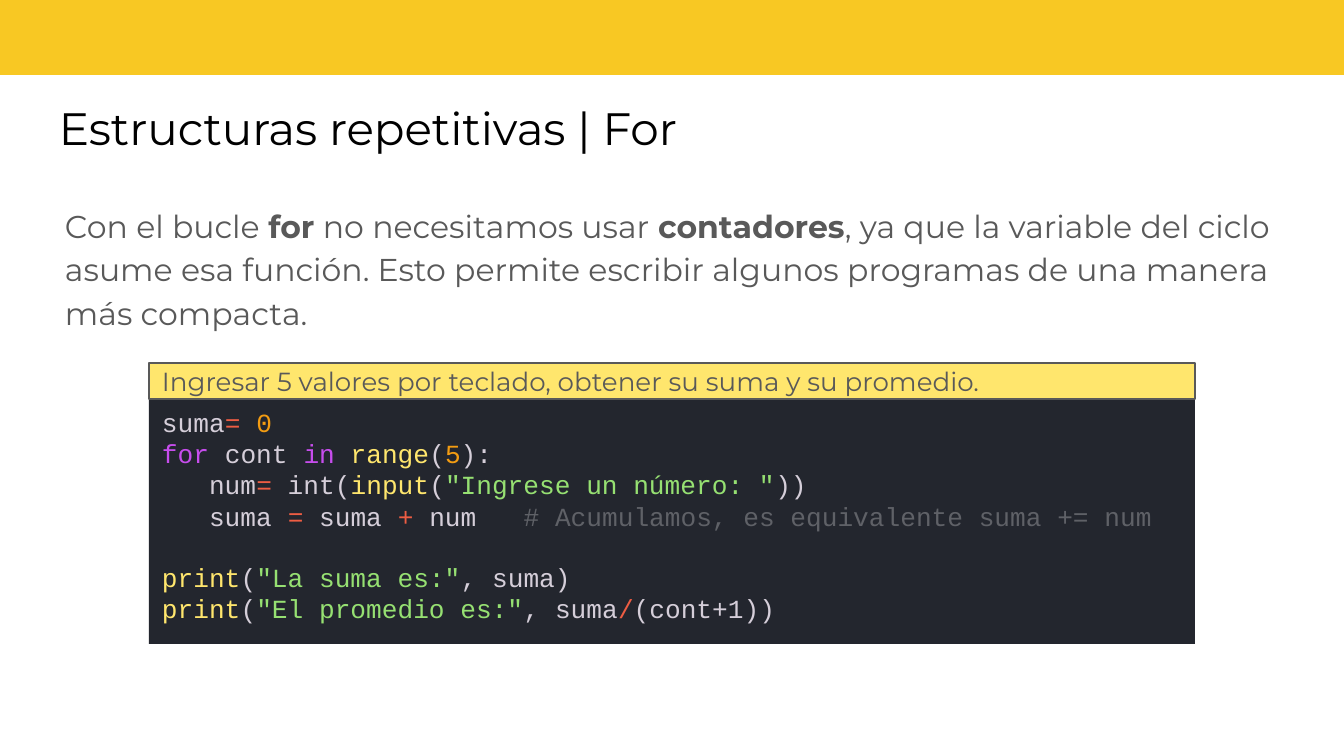
from pptx import Presentation
from pptx.dml.color import RGBColor
from pptx.enum.shapes import MSO_SHAPE
from pptx.enum.text import MSO_ANCHOR, PP_ALIGN
from pptx.util import Pt

PX = 914400 / 134.4  # EMU per pixel
COLORS = {
    "band": "F8C823", "title": "000000", "body": "595959",
    "panel": "23262E", "plain": "D5CED9", "operator": "EE5D43",
    "number": "F39C12", "keyword": "C74DED", "function": "FFE66D",
    "string": "96E072", "comment": "5F6167",
}
SANS, MONO = "Montserrat", "Courier New"

CODE = [
    [("suma", "plain"), ("=", "operator"), (" ", "plain"), ("0", "number")],
    [("for", "keyword"), (" cont ", "plain"), ("in", "keyword"), (" ", "plain"),
     ("range", "function"), ("(", "plain"), ("5", "number"), ("):", "plain")],
    [("   num", "plain"), ("=", "operator"), (" int(", "plain"), ("input", "function"),
     ("(", "plain"), ('"Ingrese un número: "', "string"), ("))", "plain")],
    [("   suma ", "plain"), ("=", "operator"), (" suma ", "plain"), ("+", "operator"),
     (" num   ", "plain"), ("# Acumulamos, es equivalente suma += num", "comment")],
    [("print", "function"), ("(", "plain"), ('"La suma es:"', "string"), (", suma)", "plain")],
    [("print", "function"), ("(", "plain"), ('"El promedio es:"', "string"),
     (", suma", "plain"), ("/", "operator"), ("(cont+1))", "plain")],
]
SECTION_START = 4  # code line that follows a one-line gap


def px(n):
    return round(n * PX)


def rgb(name):
    return RGBColor.from_string(COLORS[name])


def add_run(p, text, size, font, color, bold=False):
    r = p.add_run()
    r.text = text
    r.font.size, r.font.name, r.font.bold = Pt(size), font, bold
    r.font.color.rgb = rgb(color)


def set_frame(sp, inset_x, inset_y, anchor=MSO_ANCHOR.TOP):
    tf = sp.text_frame
    tf.word_wrap = True
    tf.margin_left = tf.margin_right = px(inset_x)
    tf.margin_top = tf.margin_bottom = px(inset_y)
    tf.vertical_anchor = anchor
    return tf


def add_rect(s, x, y, w, h, fill, line=None):
    sp = s.shapes.add_shape(MSO_SHAPE.RECTANGLE, px(x), px(y), px(w), px(h))
    sp.shadow.inherit = False
    sp.fill.solid()
    sp.fill.fore_color.rgb = rgb(fill)
    if line:
        sp.line.color.rgb = rgb(line)
        sp.line.width = Pt(0.75)
    else:
        sp.line.fill.background()
    return sp


def add_title(s, x, y, w, h):
    tf = set_frame(s.shapes.add_textbox(px(x), px(y), px(w), px(h)), 13, 13)
    add_run(tf.paragraphs[0], "Estructuras repetitivas | For", 24.3, SANS, "title")


def add_body(s, x, y, w, h):
    tf = set_frame(s.shapes.add_textbox(px(x), px(y), px(w), px(h)), 0, 13)
    p = tf.paragraphs[0]
    p.line_spacing = 1.15
    for text, bold in [
        ("Con el bucle ", False), ("for", True),
        (" no necesitamos usar ", False), ("contadores", True),
        (", ya que la variable del ciclo asume esa función. Esto permite "
         "escribir algunos programas de una manera más compacta.", False),
    ]:
        add_run(p, text, 16.9, SANS, "body", bold)


def add_code_block(s, x, y, w, h):
    head_h = 36
    # Code panel
    panel = add_rect(s, x, y + head_h, w, h - head_h, "panel")
    tf = set_frame(panel, 13, 7)
    for i, tokens in enumerate(CODE):
        p = tf.add_paragraph() if i else tf.paragraphs[0]
        p.alignment = PP_ALIGN.LEFT
        if i == SECTION_START:
            p.space_before = Pt(16)
        for text, color in tokens:
            add_run(p, text, 14, MONO, color)
    # Task heading
    head = add_rect(s, x, y, w, head_h, "function", "body")
    p = set_frame(head, 13, 7, MSO_ANCHOR.MIDDLE).paragraphs[0]
    p.alignment = PP_ALIGN.LEFT
    add_run(p, "Ingresar 5 valores por teclado, obtener su suma y su promedio.",
            14, SANS, "body")


def main():
    prs = Presentation()
    prs.slide_width, prs.slide_height = px(1344), px(756)
    s = prs.slides.add_slide(prs.slide_layouts[6])
    add_rect(s, -1, -7, 1348, 82, "band")  # top band
    add_title(s, 46, 87, 1250, 85)
    add_body(s, 65, 188, 1216, 481)
    add_code_block(s, 149, 363, 1046, 281)
    prs.save("out.pptx")


if __name__ == "__main__":
    main()
